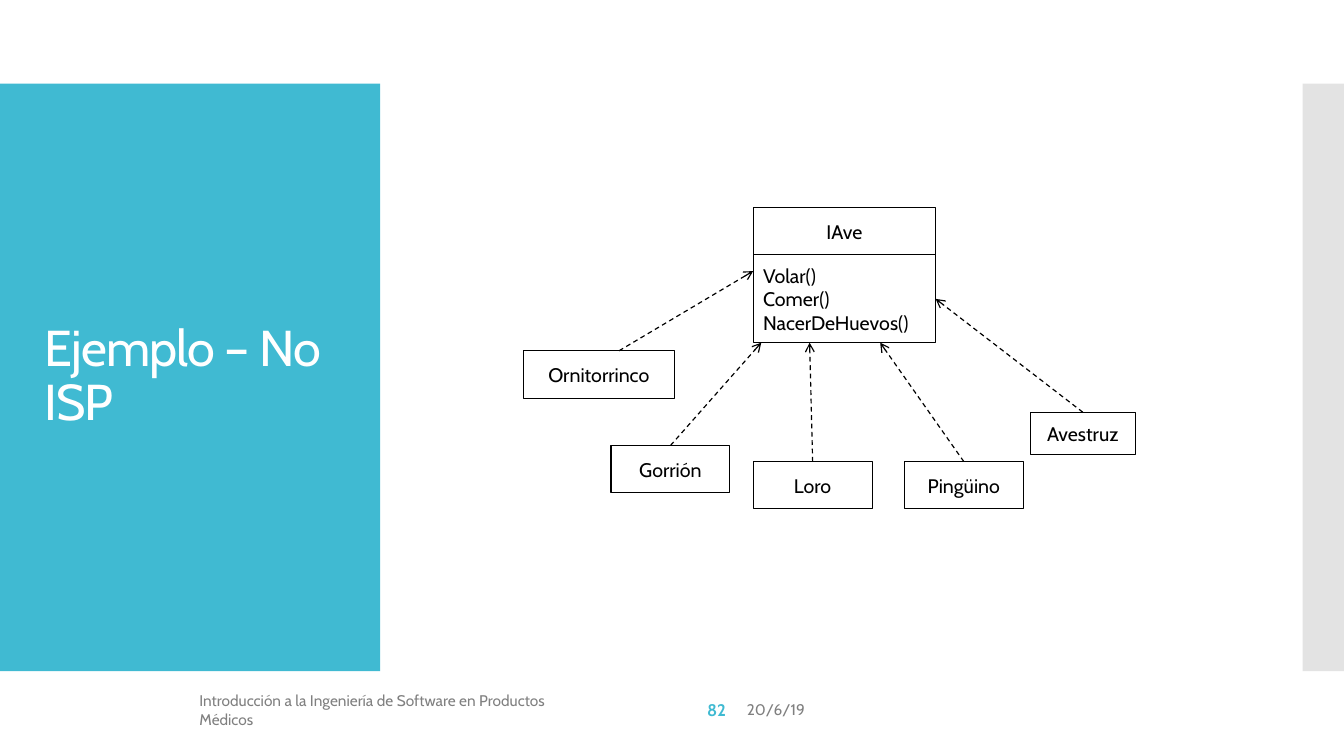
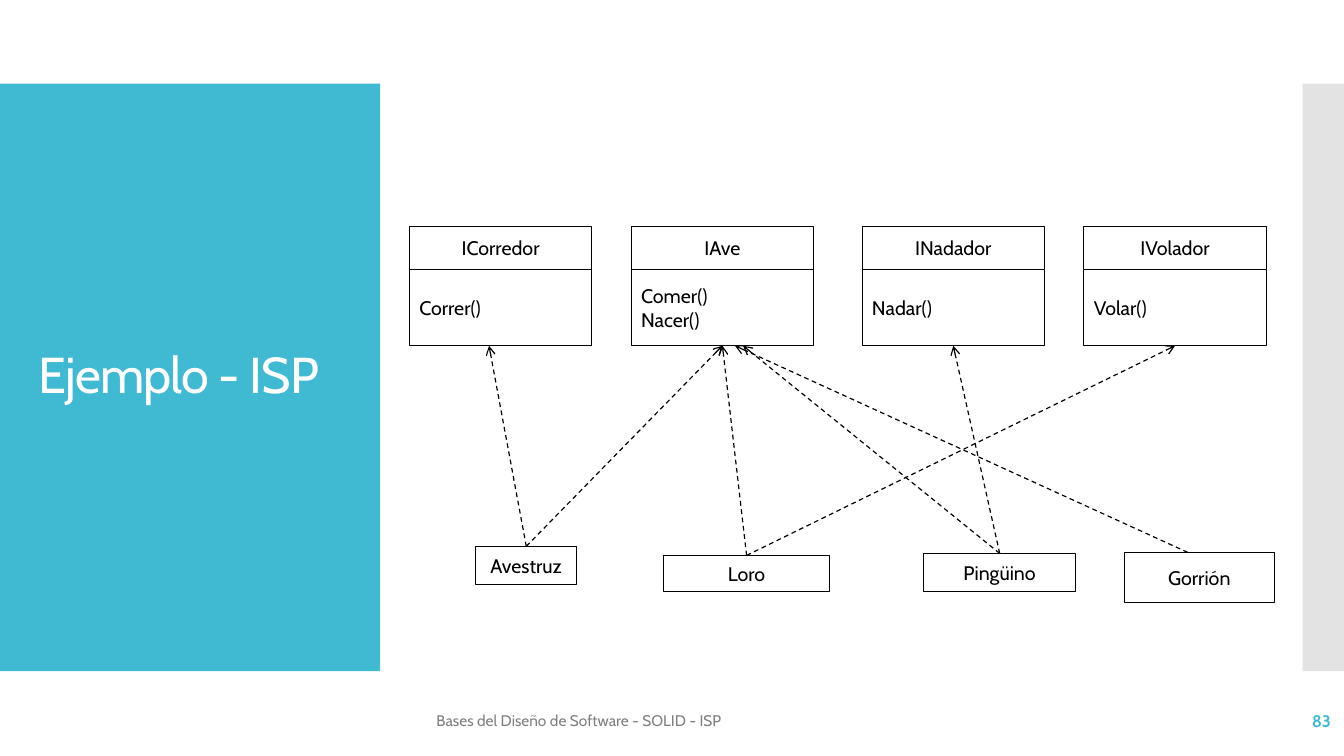
from dataclasses import dataclass

import pptx
import pptx.dml.color
import pptx.enum.dml
import pptx.enum.shapes
import pptx.enum.text
import pptx.oxml.ns
import pptx.oxml.xmlchemy
import pptx.shapes.autoshape
import pptx.slide
import pptx.util

Inches = pptx.util.Inches
Pt = pptx.util.Pt
ALIGN = pptx.enum.text.PP_ALIGN
RECTANGLE = pptx.enum.shapes.MSO_SHAPE.RECTANGLE
qn = pptx.oxml.ns.qn
new_element = pptx.oxml.xmlchemy.OxmlElement

COLORS = {
    "accent": "40BAD2",
    "strip": "C8C8C8",
    "ink": "000000",
    "title": "FFFFFF",
    "footer": "808080",
}
FONT = "Cabin"
TOP, BOTTOM, RIGHT = 0, 2, 3  # connection sites of a rectangle


@dataclass(frozen=True)
class TextStyle:
    size: float
    color: str
    bold: bool = False
    align: ALIGN = ALIGN.LEFT
    line_spacing: float | None = None
    tracking: int | None = None  # hundredths of a point


TITLE = TextStyle(36, "title", line_spacing=0.9, tracking=-60)
FOOTER = TextStyle(11, "footer")
PAGE_NUMBER = TextStyle(12, "accent", bold=True, align=ALIGN.RIGHT)
CLASS_NAME = TextStyle(14, "ink", align=ALIGN.CENTER)
METHOD = TextStyle(14, "ink")


@dataclass(frozen=True)
class Area:
    left: float
    top: float
    width: float
    height: float

    def lengths(self) -> tuple[int, int, int, int]:
        return (Inches(self.left), Inches(self.top),
                Inches(self.width), Inches(self.height))


@dataclass(frozen=True)
class ClassBox:
    name: str
    area: Area
    methods: tuple[str, ...] = ()
    body_height: float = 0


@dataclass(frozen=True)
class Link:
    """Arrow from the top of a class; free ends are given in inches."""
    source: str
    target: str
    start_x: float | None = None
    end: tuple[float, float] | None = None
    side: int = BOTTOM


@dataclass(frozen=True)
class Label:
    text: str
    area: Area
    style: TextStyle


@dataclass(frozen=True)
class Diagram:
    labels: tuple[Label, ...]
    boxes: tuple[ClassBox, ...]
    links: tuple[Link, ...]


def rgb(name: str) -> pptx.dml.color.RGBColor:
    return pptx.dml.color.RGBColor.from_string(COLORS[name])


def write(shape: pptx.shapes.autoshape.Shape, lines: tuple[str, ...], style: TextStyle) -> None:
    frame = shape.text_frame
    frame.word_wrap = True
    frame.vertical_anchor = pptx.enum.text.MSO_ANCHOR.MIDDLE
    for index, line in enumerate(lines):
        para = frame.add_paragraph() if index else frame.paragraphs[0]
        para.alignment = style.align
        if style.line_spacing:
            para.line_spacing = style.line_spacing
        span = para.add_run()
        span.text = line
        span.font.name = FONT
        span.font.size = Pt(style.size)
        span.font.bold = style.bold
        span.font.color.rgb = rgb(style.color)
    if style.tracking:
        for properties in shape.element.iter(qn("a:rPr")):
            properties.set("spc", str(style.tracking))


def add_band(page: pptx.slide.Slide, area: Area, color: str, opacity: int = 100) -> None:
    band = page.shapes.add_shape(RECTANGLE, *area.lengths())
    band.shadow.inherit = False
    band.line.fill.background()
    band.fill.solid()
    band.fill.fore_color.rgb = rgb(color)
    if opacity < 100:
        tone = band.element.spPr.find(".//" + qn("a:srgbClr"))
        alpha = new_element("a:alpha")
        alpha.set("val", str(opacity * 1000))
        tone.append(alpha)


def add_label(page: pptx.slide.Slide, label: Label) -> None:
    box = page.shapes.add_textbox(*label.area.lengths())
    write(box, (label.text,), label.style)


def add_cell(page: pptx.slide.Slide, area: Area, lines: tuple[str, ...],
             style: TextStyle) -> pptx.shapes.autoshape.Shape:
    cell = page.shapes.add_shape(RECTANGLE, *area.lengths())
    cell.shadow.inherit = False
    cell.fill.background()
    cell.line.color.rgb = rgb("ink")
    cell.line.width = Pt(0.75)
    write(cell, lines, style)
    return cell


def add_class(page: pptx.slide.Slide, box: ClassBox) -> pptx.shapes.autoshape.Shape:
    """Draw a class and return its lowest cell, where arrows attach."""
    cell = add_cell(page, box.area, (box.name,), CLASS_NAME)
    if box.methods:
        area = box.area
        body = Area(area.left, area.top + area.height, area.width, box.body_height)
        cell = add_cell(page, body, box.methods, METHOD)
    return cell


def add_link(page: pptx.slide.Slide, link: Link,
             cells: dict[str, pptx.shapes.autoshape.Shape]) -> None:
    source, target = cells[link.source], cells[link.target]
    start_x = Inches(link.start_x or 0)
    end_x, end_y = (Inches(length) for length in link.end or (0, 0))
    arrow = page.shapes.add_connector(
        pptx.enum.shapes.MSO_CONNECTOR.STRAIGHT, start_x, source.top, end_x, end_y)
    if link.start_x is None:
        arrow.begin_connect(source, TOP)
    if link.end is None:
        arrow.end_connect(target, link.side)
    arrow.line.color.rgb = rgb("ink")
    arrow.line.width = Pt(0.85)
    arrow.line.dash_style = pptx.enum.dml.MSO_LINE.DASH
    properties = arrow.element.spPr
    head = new_element("a:tailEnd")
    head.set("type", "arrow")
    properties.find(qn("a:ln")).append(head)
    properties.append(new_element("a:effectLst"))


def add_page(deck: pptx.Presentation, diagram: Diagram) -> None:
    page = deck.slides.add_slide(deck.slide_layouts[6])
    # Side bands
    add_band(page, Area(0, 0.83, 3.77, 5.83), "accent")
    add_band(page, Area(12.92, 0.83, 0.42, 5.83), "strip", opacity=50)
    # Title and footer
    for label in diagram.labels:
        add_label(page, label)
    # Classes and their arrows
    cells = {box.name: add_class(page, box) for box in diagram.boxes}
    for link in diagram.links:
        add_link(page, link, cells)


def interface(name: str, left: float, *methods: str) -> ClassBox:
    return ClassBox(name, Area(left, 2.25, 1.81, 0.42), methods, 0.76)


WITHOUT_ISP = Diagram(
    labels=(
        Label("Ejemplo – No ISP", Area(0.34, 1.23, 3.22, 5.03), TITLE),
        Label("Introducción a la Ingeniería de Software en Productos Médicos",
              Area(1.88, 6.84, 4.14, 0.4), FOOTER),
        Label("82", Area(6.03, 6.84, 1.27, 0.4), PAGE_NUMBER),
        Label("20/6/19", Area(7.31, 6.84, 4.14, 0.4), FOOTER),
    ),
    boxes=(
        ClassBox("IAve", Area(7.47, 2.06, 1.81, 0.47),
                 ("Volar()", "Comer()", "NacerDeHuevos()"), 0.87),
        ClassBox("Ornitorrinco", Area(5.19, 3.48, 1.5, 0.47)),
        ClassBox("Gorrión", Area(6.06, 4.42, 1.18, 0.47)),
        ClassBox("Loro", Area(7.47, 4.58, 1.18, 0.47)),
        ClassBox("Pingüino", Area(8.97, 4.58, 1.18, 0.47)),
        ClassBox("Avestruz", Area(10.22, 4.09, 1.04, 0.42)),
    ),
    links=(
        Link("Ornitorrinco", "IAve", start_x=6.14, end=(7.47, 2.69)),
        Link("Gorrión", "IAve", end=(7.55, 3.4)),
        Link("Loro", "IAve", end=(8.03, 3.4)),
        Link("Pingüino", "IAve", end=(8.73, 3.4)),
        Link("Avestruz", "IAve", side=RIGHT),
    ),
)

WITH_ISP = Diagram(
    labels=(
        Label("Ejemplo - ISP", Area(0.28, 1.23, 3.22, 5.03), TITLE),
        Label("Bases del Diseño de Software - SOLID - ISP",
              Area(4.23, 6.95, 6.46, 0.4), FOOTER),
        Label("83", Area(11.63, 6.95, 1.67, 0.4), PAGE_NUMBER),
    ),
    boxes=(
        interface("ICorredor", 4.06, "Correr()"),
        interface("IAve", 6.26, "Comer()", "Nacer()"),
        interface("INadador", 8.55, "Nadar()"),
        interface("IVolador", 10.75, "Volar()"),
        ClassBox("Avestruz", Area(4.72, 5.42, 1, 0.38)),
        ClassBox("Loro", Area(6.58, 5.51, 1.65, 0.36)),
        ClassBox("Pingüino", Area(9.16, 5.49, 1.51, 0.38)),
        ClassBox("Gorrión", Area(11.15, 5.48, 1.49, 0.5)),
    ),
    links=(
        Link("Avestruz", "ICorredor", end=(4.85, 3.43)),
        Link("Avestruz", "IAve"),
        Link("Loro", "IAve"),
        Link("Loro", "IVolador"),
        Link("Pingüino", "IAve", end=(7.37, 3.43)),
        Link("Pingüino", "INadador"),
        Link("Gorrión", "IAve", start_x=11.78, end=(7.29, 3.43)),
    ),
)


def main() -> None:
    deck = pptx.Presentation()
    deck.slide_width = Inches(13.33)
    deck.slide_height = Inches(7.5)
    for diagram in (WITHOUT_ISP, WITH_ISP):
        add_page(deck, diagram)
    deck.save("out.pptx")


if __name__ == "__main__":
    main()
